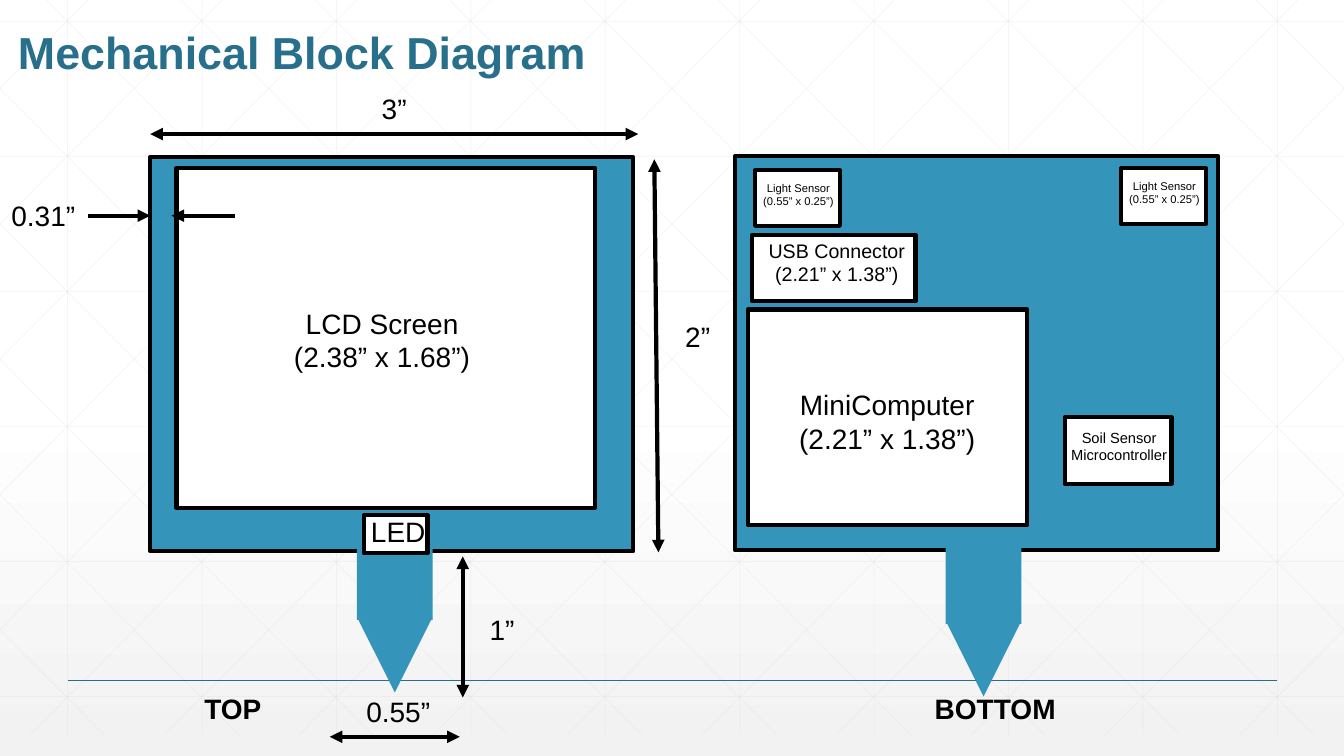
import dataclasses
import typing

import lxml.etree
import pptx
import pptx.dml.color
import pptx.enum.dml
import pptx.enum.shapes
import pptx.enum.text
import pptx.oxml.ns
import pptx.shapes.autoshape
import pptx.shapes.connector
import pptx.slide
import pptx.util

Inches = pptx.util.Inches
Pt = pptx.util.Pt
RGBColor = pptx.dml.color.RGBColor
Shapes = pptx.enum.shapes.MSO_SHAPE
Align = pptx.enum.text.PP_ALIGN
Anchor = pptx.enum.text.MSO_ANCHOR
qn = pptx.oxml.ns.qn

BLACK = RGBColor(0x00, 0x00, 0x00)
WHITE = RGBColor(0xFF, 0xFF, 0xFF)
PALE_GREY = RGBColor(0xF2, 0xF2, 0xF2)
GRID_GREY = RGBColor(0xD9, 0xD9, 0xD9)
BOARD_BLUE = RGBColor(0x34, 0x94, 0xBA)
TITLE_BLUE = RGBColor(0x27, 0x6F, 0x8B)

WIDTH, HEIGHT = 13.33, 7.5
GRID_TOP, GRID_BOTTOM = -0.21, 7.29
GRID_STEP = 4 / 3
DIAGONAL_RUN = 7.45


@dataclasses.dataclass
class Block:
    left: float
    top: float
    width: float
    height: float
    fill: RGBColor = WHITE
    outlined: bool = True
    kind: Shapes = Shapes.RECTANGLE
    rotation: float = 0


@dataclasses.dataclass
class Label:
    left: float
    top: float
    width: float
    height: float
    lines: tuple[str, ...]
    size: float = 20
    bold: bool = False
    color: RGBColor = BLACK
    align: Align = Align.CENTER
    anchor: Anchor = Anchor.TOP


@dataclasses.dataclass
class Line:
    x1: float
    y1: float
    x2: float
    y2: float
    color: RGBColor = BLACK
    weight: float = 3
    heads: tuple[str, ...] = ("headEnd", "tailEnd")
    opacity: int = 100


def stem(left: float, top: float) -> list[Block]:
    """A spike for the soil: a bar with a point below it."""
    return [
        Block(left, top, 0.75, 0.86, BOARD_BLUE, False),
        Block(left, top + 0.83, 0.75, 0.75, BOARD_BLUE, False, Shapes.ISOSCELES_TRIANGLE, 180),
    ]


BLOCKS = [
    # Boards with their stems
    Block(1.49, 1.56, 4.79, 3.91, BOARD_BLUE),
    Block(7.29, 1.55, 4.79, 3.91, BOARD_BLUE),
    *stem(3.54, 5.29),
    *stem(9.38, 5.33),
    # Parts: screen, LED, computer, light sensors, connector, soil sensor
    Block(1.75, 1.67, 4.15, 3.37),
    Block(3.61, 5.11, 0.63, 0.38),
    Block(7.42, 3.07, 2.77, 2.14),
    Block(7.49, 1.69, 0.84, 0.55),
    Block(11.12, 1.67, 0.84, 0.55),
    Block(7.46, 2.33, 1.62, 0.66),
    Block(10.56, 4.14, 1.06, 0.66),
]

LIGHT_SENSOR = ("Light Sensor", "(0.55” x 0.25”)")
LABELS = [
    Label(0.08, -0.17, 12, 1, ("Mechanical Block Diagram",), 32, True, TITLE_BLUE,
          Align.LEFT, Anchor.BOTTOM),
    # Parts
    Label(2.79, 2.99, 2, 0.77, ("LCD Screen", "(2.38” x 1.68”)")),
    Label(2.95, 5.06, 2, 0.44, ("LED",)),
    Label(7.8, 3.8, 2, 0.77, ("MiniComputer", "(2.21” x 1.38”)")),
    Label(6.92, 1.75, 2, 0.37, LIGHT_SENSOR, 8),
    Label(10.55, 1.73, 2, 0.37, LIGHT_SENSOR, 8),
    Label(7.22, 2.32, 2.16, 0.57, ("USB Connector", "(2.21” x 1.38”)"), 14),
    Label(10.02, 4.2, 2.16, 0.45, ("Soil Sensor", "Microcontroller"), 10.5),
    # Dimensions
    Label(3.22, 0.86, 1.38, 0.44, ("3”",)),
    Label(-0.26, 1.92, 1.38, 0.44, ("0.31”",)),
    Label(6.23, 3.12, 1.38, 0.44, ("2”",)),
    Label(4.29, 6.03, 1.38, 0.44, ("1”",)),
    Label(3.26, 6.84, 1.38, 0.44, ("0.55”",)),
    # Views
    Label(1.31, 6.81, 2, 0.44, ("TOP",), bold=True),
    Label(8.87, 6.81, 2, 0.44, ("BOTTOM",), bold=True),
]

ARROWS = [
    Line(1.49, 1.33, 6.33, 1.33),
    Line(6.49, 1.58, 6.53, 5.48),
    Line(0.87, 2.14, 1.49, 2.14, heads=("tailEnd",)),
    Line(2.33, 2.14, 1.7, 2.14, heads=("tailEnd",)),
    Line(4.59, 5.52, 4.59, 6.92),
    Line(3.27, 7.31, 4.56, 7.31),
]


def grid_line(x1: float, y1: float, x2: float, y2: float) -> Line:
    return Line(x1, y1, x2, y2, GRID_GREY, 0.5, (), 25)


def grid_lines() -> typing.Iterator[Line]:
    for column in range(10):
        x = 0.67 + column * GRID_STEP
        yield grid_line(x, GRID_TOP, x, GRID_BOTTOM)
    for row in range(6):
        y = 0.21 + row * 1.34
        yield grid_line(0, y, WIDTH, y)
    # Diagonals are cut at the page sides and mirrored
    slope = (GRID_BOTTOM - GRID_TOP) / DIAGONAL_RUN
    for index in range(-5, 10):
        start = 0.25 + index * GRID_STEP
        x1, x2 = max(start, 0), min(start + DIAGONAL_RUN, WIDTH)
        y1, y2 = (GRID_TOP + (x - start) * slope for x in (x1, x2))
        yield grid_line(x1, y1, x2, y2)
        yield grid_line(WIDTH - x1, y1, WIDTH - x2, y2)


def draw_line(page: pptx.slide.Slide, line: Line) -> None:
    connector = page.shapes.add_connector(
        pptx.enum.shapes.MSO_CONNECTOR.STRAIGHT,
        Inches(line.x1), Inches(line.y1), Inches(line.x2), Inches(line.y2))
    connector.line.color.rgb = line.color
    connector.line.width = Pt(line.weight)
    properties = connector.element.spPr
    outline = properties.find(qn("a:ln"))
    if line.opacity < 100:
        color = outline.find(".//" + qn("a:srgbClr"))
        lxml.etree.SubElement(color, qn("a:alpha"), val=str(line.opacity * 1000))
    for head in line.heads:
        lxml.etree.SubElement(outline, qn("a:" + head), type="triangle")
    lxml.etree.SubElement(properties, qn("a:effectLst"))


def draw_block(page: pptx.slide.Slide, block: Block) -> None:
    shape = page.shapes.add_shape(
        block.kind, Inches(block.left), Inches(block.top),
        Inches(block.width), Inches(block.height))
    shape.shadow.inherit = False
    shape.rotation = block.rotation
    shape.fill.solid()
    shape.fill.fore_color.rgb = block.fill
    if block.outlined:
        shape.line.color.rgb = BLACK
        shape.line.width = Pt(3)
    else:
        shape.line.fill.background()


def draw_label(page: pptx.slide.Slide, label: Label) -> None:
    box = page.shapes.add_textbox(
        Inches(label.left), Inches(label.top), Inches(label.width), Inches(label.height))
    frame = box.text_frame
    frame.word_wrap = True
    frame.vertical_anchor = label.anchor
    for index, text in enumerate(label.lines):
        para = frame.add_paragraph() if index else frame.paragraphs[0]
        para.alignment = label.align
        span = para.add_run()
        span.text = text
        span.font.name = "Arial"
        span.font.size = Pt(label.size)
        span.font.bold = label.bold
        span.font.color.rgb = label.color


def paint_background(page: pptx.slide.Slide) -> None:
    fill = page.background.fill
    fill.gradient()
    fill.gradient_angle = 270
    for stop, color, position in zip(fill.gradient_stops, (WHITE, PALE_GREY), (0.53, 1)):
        stop.color.rgb = color
        stop.position = position


def main() -> None:
    deck = pptx.Presentation()
    deck.slide_width, deck.slide_height = Inches(WIDTH), Inches(HEIGHT)
    page = deck.slides.add_slide(deck.slide_layouts[6])
    paint_background(page)
    base_line = Line(0.67, 6.75, 12.67, 6.75, TITLE_BLUE, 1, ())
    for line in (*grid_lines(), base_line):
        draw_line(page, line)
    for block in BLOCKS:
        draw_block(page, block)
    for label in LABELS:
        draw_label(page, label)
    for arrow in ARROWS:
        draw_line(page, arrow)
    deck.save("out.pptx")


if __name__ == "__main__":
    main()
